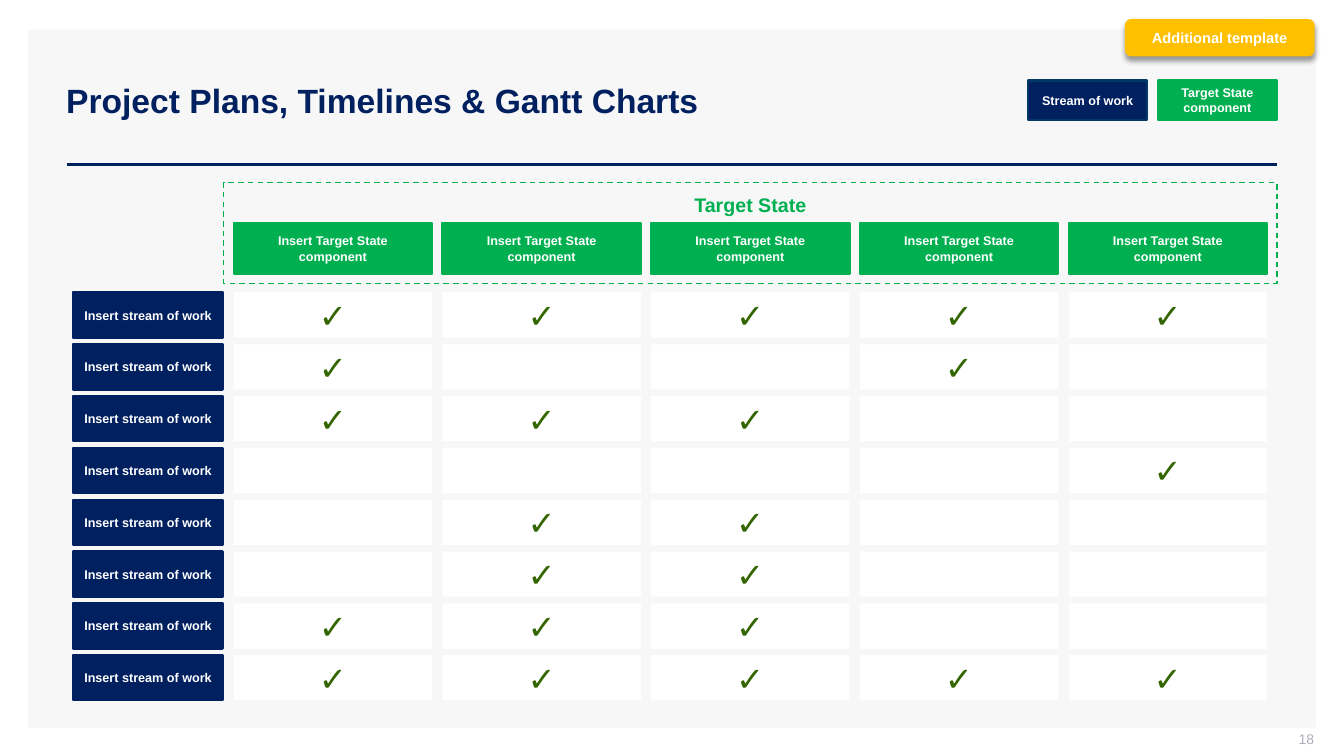
"""Build a slide mapping streams of work to target state components."""
from dataclasses import dataclass

import lxml.etree
import pptx
import pptx.dml.color
import pptx.enum.dml
import pptx.enum.shapes
import pptx.enum.text
import pptx.oxml.ns
import pptx.shapes.autoshape
import pptx.slide
import pptx.util

Cm = pptx.util.Cm
Pt = pptx.util.Pt
Shapes = pptx.enum.shapes.MSO_SHAPE
Anchor = pptx.enum.text.MSO_ANCHOR
Align = pptx.enum.text.PP_ALIGN

NAVY, GREEN, WHITE = "002060", "00B050", "FFFFFF"
COLUMN_LEFT, COLUMN_WIDTH, COLUMN_PITCH = 5.89, 5.0, 5.26
ROW_TOP, ROW_HEIGHT, ROW_PITCH = 7.37, 1.14, 9.14 / 7
CHECKS = ["11111", "10010", "11100", "00001", "01100", "01100", "11100", "11111"]


@dataclass
class Label:
    text: str
    size: float
    color: str = WHITE
    bold: bool = True
    align: Align = Align.CENTER
    anchor: Anchor = Anchor.MIDDLE
    insets: tuple[float, float, float, float] = (0.25, 0.13, 0.25, 0.13)


@dataclass
class Box:
    left: float
    top: float
    width: float
    height: float
    fill: str | None = None
    line: str | None = None
    label: Label | None = None
    line_width: float = 1.5
    dashed: bool = False
    kind: Shapes = Shapes.RECTANGLE


def rgb(color: str) -> pptx.dml.color.RGBColor:
    """Turn a hex string into a colour."""
    return pptx.dml.color.RGBColor.from_string(color)


def write_label(frame: pptx.text.text.TextFrame, label: Label) -> None:
    """Put styled text in a text frame."""
    frame.word_wrap = True
    frame.vertical_anchor = label.anchor
    frame.margin_left, frame.margin_top, frame.margin_right, frame.margin_bottom = map(Cm, label.insets)
    paragraph = frame.paragraphs[0]
    paragraph.text = label.text
    paragraph.alignment = label.align
    paragraph.font.name = "Arial"
    paragraph.font.size = Pt(label.size)
    paragraph.font.bold = label.bold
    paragraph.font.color.rgb = rgb(label.color)


def draw_box(slide: pptx.slide.Slide, box: Box) -> pptx.shapes.autoshape.Shape:
    """Draw a preset shape with its fill, line and label."""
    shape = slide.shapes.add_shape(box.kind, Cm(box.left), Cm(box.top), Cm(box.width), Cm(box.height))
    shape.shadow.inherit = False
    if box.fill:
        shape.fill.solid()
        shape.fill.fore_color.rgb = rgb(box.fill)
    else:
        shape.fill.background()
    if box.line:
        shape.line.color.rgb = rgb(box.line)
        shape.line.width = Pt(box.line_width)
        if box.dashed:
            shape.line.dash_style = pptx.enum.dml.MSO_LINE.DASH
    else:
        shape.line.fill.background()
    if box.label:
        write_label(shape.text_frame, box.label)
    return shape


def draw_text(slide: pptx.slide.Slide, left: float, top: float, width: float, height: float, label: Label) -> None:
    """Draw a text box."""
    textbox = slide.shapes.add_textbox(Cm(left), Cm(top), Cm(width), Cm(height))
    write_label(textbox.text_frame, label)


def draw_rule(slide: pptx.slide.Slide) -> None:
    """Draw the line below the title."""
    rule = slide.shapes.add_connector(
        pptx.enum.shapes.MSO_CONNECTOR.STRAIGHT, Cm(1.68), Cm(4.14), Cm(32.18), Cm(4.14))
    rule.line.color.rgb = rgb(NAVY)
    rule.line.width = Pt(2)
    lxml.etree.SubElement(rule.element.spPr, pptx.oxml.ns.qn("a:effectLst"))


def add_shadow(shape: pptx.shapes.autoshape.Shape) -> None:
    """Give a shape a soft shadow straight below it."""
    qn = pptx.oxml.ns.qn
    effects = shape.element.spPr.find(qn("a:effectLst"))
    shadow = lxml.etree.SubElement(
        effects, qn("a:outerShdw"), blurRad=str(Pt(4)), dist=str(Pt(3)), dir="5400000", algn="t", rotWithShape="0")
    color = lxml.etree.SubElement(shadow, qn("a:srgbClr"), val="000000")
    lxml.etree.SubElement(color, qn("a:alpha"), val="40000")


def draw_matrix(slide: pptx.slide.Slide) -> None:
    """Draw the component headers, the streams and the check cells."""
    lefts = [COLUMN_LEFT + column * COLUMN_PITCH for column in range(len(CHECKS[0]))]
    for left in lefts:
        header = Label("Insert Target State component", 9)
        draw_box(slide, Box(left, 5.61, COLUMN_WIDTH, 1.3, GREEN, GREEN, header))
    for row, checks in enumerate(CHECKS):
        top = ROW_TOP + row * ROW_PITCH
        stream = Label("Insert stream of work", 9)
        draw_box(slide, Box(1.85, top, 3.76, ROW_HEIGHT, NAVY, NAVY, stream))
        for left, check in zip(lefts, checks):
            mark = Label("✓", 24, "336600") if check == "1" else None
            draw_box(slide, Box(left, top, COLUMN_WIDTH, ROW_HEIGHT, WHITE, label=mark))


def main() -> None:
    """Build and save the presentation."""
    presentation = pptx.Presentation()
    presentation.slide_width = Cm(33.87)
    presentation.slide_height = Cm(19.05)
    slide = presentation.slides.add_slide(presentation.slide_layouts[6])

    draw_box(slide, Box(0.71, 0.74, 32.46, 17.6, "F7F7F7"))
    draw_rule(slide)
    draw_text(slide, 1.42, 1.02, 30.76, 3.02,
              Label("Project Plans, Timelines & Gantt Charts", 24, NAVY, align=Align.LEFT))
    draw_text(slide, 25.5, 18.42, 7.62, 0.53,
              Label("18", 10, "ADAFBB", bold=False, align=Align.RIGHT, insets=(0.25, 0, 0, 0.13)))

    target_state = Label("Target State", 14, GREEN, anchor=Anchor.TOP, insets=(0.2, 0.25, 0.2, 0.2))
    draw_box(slide, Box(5.64, 4.6, 26.54, 2.54, None, GREEN, target_state, 1, True))
    draw_matrix(slide)

    draw_box(slide, Box(29.18, 2.03, 3, 0.99, GREEN, GREEN, Label("Target State component", 9)))
    draw_box(slide, Box(25.91, 2.03, 3, 0.99, NAVY, "003968", Label("Stream of work", 9)))
    badge = Box(28.35, 0.48, 4.78, 0.94, "FFC000", label=Label("Additional template", 10.5),
                kind=Shapes.ROUNDED_RECTANGLE)
    add_shadow(draw_box(slide, badge))

    presentation.save("out.pptx")


if __name__ == "__main__":
    main()
